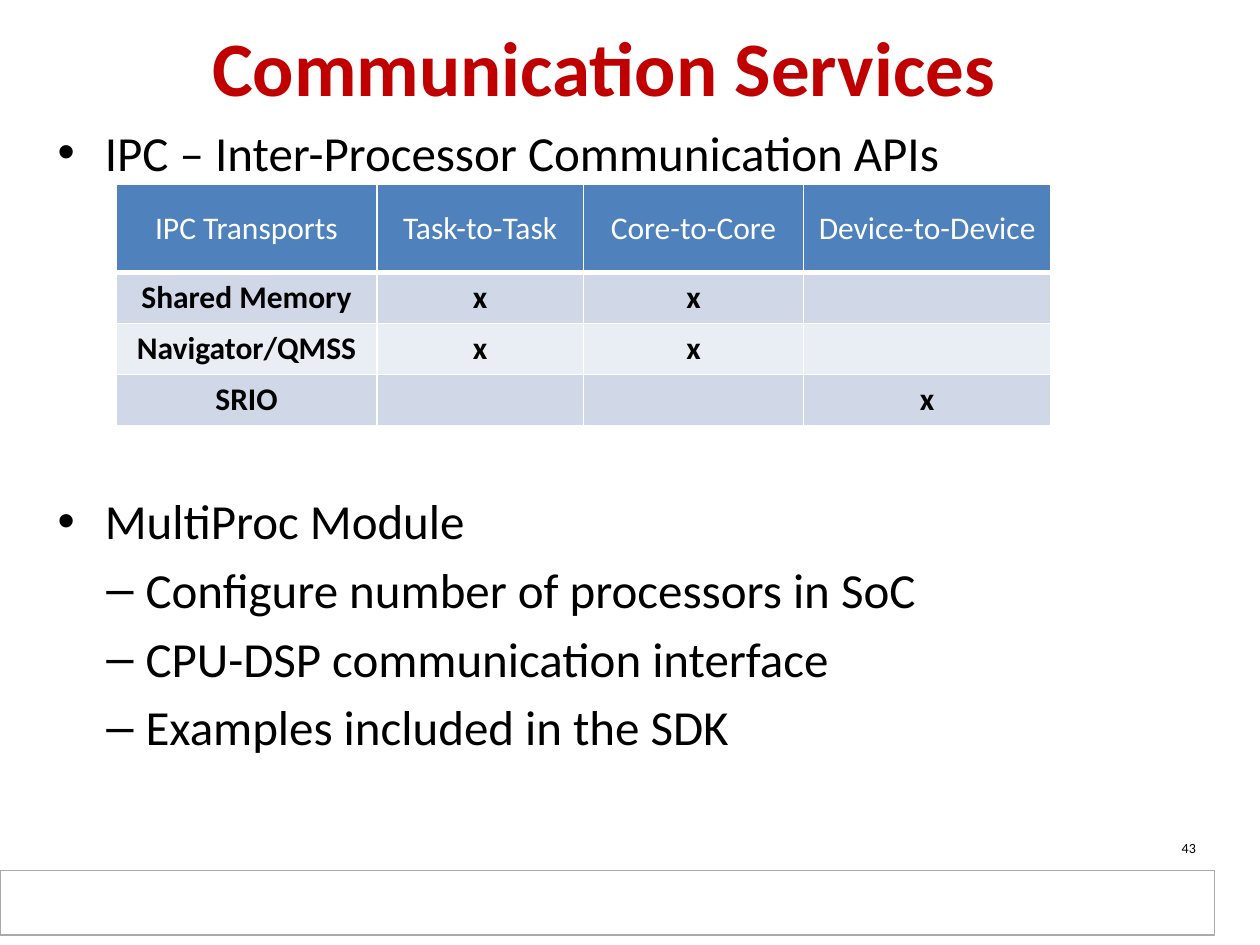
from dataclasses import dataclass

import pptx
import pptx.dml.color
import pptx.enum.shapes
import pptx.enum.text
import pptx.oxml
import pptx.oxml.ns
import pptx.util
from lxml import etree

Cm = pptx.util.Cm
Pt = pptx.util.Pt
Align = pptx.enum.text.PP_ALIGN
Anchor = pptx.enum.text.MSO_ANCHOR
FONT = "Calibri"


@dataclass(frozen=True)
class Bullet:
    text: str
    level: int = 0
    space_before: float = 5.6


@dataclass(frozen=True)
class BulletStyle:
    character: str
    left: float
    hanging: float


BULLET_STYLES = (BulletStyle("•", 0.95, 0.95), BulletStyle("–", 1.77, 0.79))
BULLETS = (
    Bullet("IPC – Inter-Processor Communication APIs", space_before=0),
    Bullet("MultiProc Module", space_before=177),  # leaves room for the table
    Bullet("Configure number of processors in SoC", level=1),
    Bullet("CPU-DSP communication interface", level=1),
    Bullet("Examples included in the SDK", level=1),
)
TRANSPORTS = (
    ("IPC Transports", "Task-to-Task", "Core-to-Core", "Device-to-Device"),
    ("Shared Memory", "x", "x", ""),
    ("Navigator/QMSS", "x", "x", ""),
    ("SRIO", "", "", "x"),
)
COLUMN_WIDTHS = (5.26, 4.16, 4.44, 4.98)
HEADER_HEIGHT, ROW_HEIGHT = 1.78, 1.03
HEADER_FILL = "4F81BD"
BAND_FILLS = ("D0D8E8", "E9EDF4")


def color(value: str) -> pptx.dml.color.RGBColor:
    return pptx.dml.color.RGBColor.from_string(value)


def format_text(paragraph, size: float, value: str, bold: bool = False) -> None:
    font = paragraph.font
    font.name, font.size, font.bold = FONT, Pt(size), bold
    font.color.rgb = color(value)


def place(shape, left: float, top: float, width: float, height: float) -> None:
    """Set position and size in centimetres."""
    shape.left, shape.top = Cm(left), Cm(top)
    shape.width, shape.height = Cm(width), Cm(height)


def set_bullet(paragraph, style: BulletStyle) -> None:
    properties = paragraph._p.get_or_add_pPr()
    properties.set("marL", str(Cm(style.left)))
    properties.set("indent", str(-Cm(style.hanging)))
    for tag, name, value in (("a:buFont", "typeface", "Arial"),
                             ("a:buChar", "char", style.character)):
        etree.SubElement(properties, pptx.oxml.ns.qn(tag)).set(name, value)


def set_borders(cell, bottom: float) -> None:
    """Give the cell white borders, 1 pt wide except for the bottom one."""
    properties = cell._tc.get_or_add_tcPr()
    for side, width in (("L", 1), ("R", 1), ("T", 1), ("B", bottom)):
        properties.append(pptx.oxml.parse_xml(
            f'<a:ln{side} {pptx.oxml.ns.nsdecls("a")} w="{Pt(width)}">'
            f'<a:solidFill><a:srgbClr val="FFFFFF"/></a:solidFill></a:ln{side}>'))


def add_footer_bar(slide) -> None:
    bar = slide.shapes.add_shape(pptx.enum.shapes.MSO_SHAPE.RECTANGLE,
                                 Cm(0), Cm(17.55), Cm(24.49), Cm(1.3))
    bar.shadow.inherit = False
    bar.fill.solid()
    bar.fill.fore_color.rgb = color("FFFFFF")
    bar.line.color.rgb = color("AAAAAA")
    bar.line.width = Pt(0.75)
    # Keep the bar behind the placeholders.
    slide.shapes._spTree.insert(2, bar._element)


def fill_title(title) -> None:
    place(title, 0.43, 0.2, 23.5, 2.26)
    frame = title.text_frame
    frame.text = "Communication Services"
    frame.auto_size = pptx.enum.text.MSO_AUTO_SIZE.NONE
    frame.vertical_anchor = Anchor.MIDDLE
    frame.paragraphs[0].alignment = Align.CENTER
    format_text(frame.paragraphs[0], 44, "C00000", bold=True)


def fill_body(body) -> None:
    place(body, 0.91, 2.34, 23.52, 15.24)
    frame = body.text_frame
    frame.text = "\n".join(bullet.text for bullet in BULLETS)
    frame.auto_size = pptx.enum.text.MSO_AUTO_SIZE.NONE
    frame.vertical_anchor = Anchor.TOP
    for paragraph, bullet in zip(frame.paragraphs, BULLETS):
        paragraph.level = bullet.level
        paragraph.space_before = Pt(bullet.space_before)
        set_bullet(paragraph, BULLET_STYLES[bullet.level])
        format_text(paragraph, 28, "000000")


def add_transport_table(slide) -> None:
    row_heights = [HEADER_HEIGHT] + [ROW_HEIGHT] * (len(TRANSPORTS) - 1)
    table = slide.shapes.add_table(
        len(TRANSPORTS), len(COLUMN_WIDTHS), Cm(2.34), Cm(3.71),
        Cm(sum(COLUMN_WIDTHS)), Cm(sum(row_heights))).table
    for column, width in zip(table.columns, COLUMN_WIDTHS):
        column.width = Cm(width)
    for index, (row, height) in enumerate(zip(table.rows, row_heights)):
        row.height = Cm(height)
        header = index == 0
        for cell, text in zip(row.cells, TRANSPORTS[index]):
            set_borders(cell, bottom=3 if header else 1)
            cell.fill.solid()
            cell.fill.fore_color.rgb = color(
                HEADER_FILL if header else BAND_FILLS[(index - 1) % 2])
            cell.vertical_anchor = Anchor.MIDDLE
            cell.text_frame.text = text
            paragraph = cell.text_frame.paragraphs[0]
            paragraph.alignment = Align.CENTER
            format_text(paragraph, 18, "FFFFFF" if header else "000000",
                        bold=not header)


def add_slide_number(slide) -> None:
    frame = slide.shapes.add_textbox(Cm(18.44), Cm(16.81), Cm(5.92),
                                     Cm(0.58)).text_frame
    frame.word_wrap = True
    frame.vertical_anchor = Anchor.MIDDLE
    frame.text = "43"
    frame.paragraphs[0].alignment = Align.RIGHT
    format_text(frame.paragraphs[0], 8, "000000")


def main() -> None:
    presentation = pptx.Presentation()
    presentation.slide_width, presentation.slide_height = Cm(25.4), Cm(19.05)
    slide = presentation.slides.add_slide(presentation.slide_layouts[1])
    add_footer_bar(slide)
    fill_title(slide.shapes.title)
    fill_body(slide.placeholders[1])
    add_transport_table(slide)
    add_slide_number(slide)
    presentation.save("out.pptx")


if __name__ == "__main__":
    main()
